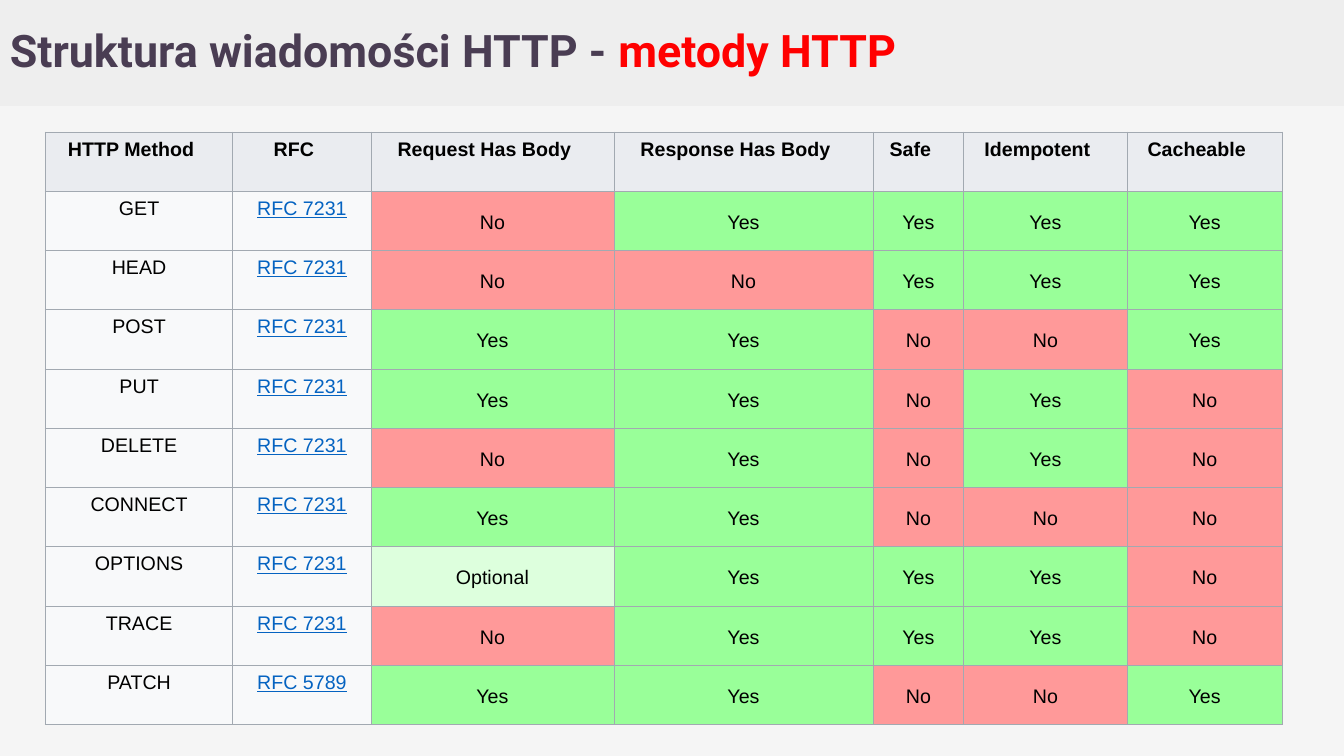
from lxml import etree
from pptx import Presentation
from pptx.dml.color import RGBColor
from pptx.enum.shapes import MSO_SHAPE
from pptx.enum.text import MSO_ANCHOR, PP_ALIGN
from pptx.oxml.ns import qn
from pptx.util import Inches, Pt

RECTANGLE = MSO_SHAPE.RECTANGLE
TOP, MIDDLE = MSO_ANCHOR.TOP, MSO_ANCHOR.MIDDLE
CENTER = PP_ALIGN.CENTER

BLACK, LINK, BORDER = "000000", "0563C1", "A2A9B1"
HEADER_FILL, LABEL_FILL = "EAECF0", "F8F9FA"
ANSWER_FILLS = {"Yes": "99FF99", "No": "FF9999", "Optional": "DDFFDD"}

COLUMNS = [
    ("HTTP Method", 1.86), ("RFC", 1.37), ("Request Has Body", 2.41),
    ("Response Has Body", 2.57), ("Safe", 0.9), ("Idempotent", 1.62),
    ("Cacheable", 1.54),
]
METHODS = [
    ("GET", "RFC 7231", "No", "Yes", "Yes", "Yes", "Yes"),
    ("HEAD", "RFC 7231", "No", "No", "Yes", "Yes", "Yes"),
    ("POST", "RFC 7231", "Yes", "Yes", "No", "No", "Yes"),
    ("PUT", "RFC 7231", "Yes", "Yes", "No", "Yes", "No"),
    ("DELETE", "RFC 7231", "No", "Yes", "No", "Yes", "No"),
    ("CONNECT", "RFC 7231", "Yes", "Yes", "No", "No", "No"),
    ("OPTIONS", "RFC 7231", "Optional", "Yes", "Yes", "Yes", "No"),
    ("TRACE", "RFC 7231", "No", "Yes", "Yes", "Yes", "No"),
    ("PATCH", "RFC 5789", "Yes", "Yes", "No", "No", "Yes"),
]


def rgb(value):
    return RGBColor.from_string(value)


def add_run(p, text, font, size, color, bold=False, underline=False):
    r = p.add_run()
    r.text = text
    r.font.name = font
    r.font.size = Pt(size)
    r.font.bold = bold
    r.font.underline = underline
    r.font.color.rgb = rgb(color)


def add_title_band(s, left, top, width, height):
    # Band across the slide
    band = s.shapes.add_shape(RECTANGLE, Inches(left), Inches(top),
                              Inches(width), Inches(height))
    band.shadow.inherit = False
    band.fill.solid()
    band.fill.fore_color.rgb = rgb("EEEEEE")
    band.line.fill.background()

    # Two-colour title
    title = s.shapes.add_textbox(Inches(left), Inches(top),
                                 Inches(width - 1.42), Inches(height))
    tf = title.text_frame
    tf.word_wrap = True
    tf.vertical_anchor = MIDDLE
    tf.margin_left = tf.margin_right = Inches(0.1)
    tf.margin_top = tf.margin_bottom = Inches(0.1)
    p = tf.paragraphs[0]
    p.line_spacing = 0.9
    add_run(p, "Struktura wiadomości HTTP - ", "Roboto", 32, "4A3D53", bold=True)
    add_run(p, "metody HTTP", "Roboto", 32, "FF0000", bold=True)


def set_borders(cell, color, width):
    tc_pr = cell._tc.get_or_add_tcPr()
    for side in ("a:lnL", "a:lnR", "a:lnT", "a:lnB"):
        ln = etree.SubElement(tc_pr, qn(side), w=str(Pt(width)))
        fill = etree.SubElement(ln, qn("a:solidFill"))
        etree.SubElement(fill, qn("a:srgbClr"), val=color)


def fill_cell(cell, text, fill, header=False, link=False):
    set_borders(cell, BORDER, 0.75)
    cell.fill.solid()
    cell.fill.fore_color.rgb = rgb(fill)
    cell.vertical_anchor = MIDDLE if text in ANSWER_FILLS else TOP
    cell.margin_left = Inches(0.06)
    cell.margin_right = Inches(0.22 if header else 0.06)
    cell.margin_top = cell.margin_bottom = Inches(0.03)
    p = cell.text_frame.paragraphs[0]
    p.alignment = CENTER
    p.line_spacing = 1.15
    p.space_before = p.space_after = Pt(11)
    add_run(p, text, "Arial", 14, LINK if link else BLACK,
            bold=header, underline=link)


def add_methods_table(s, left, top, width, height):
    rows = len(METHODS) + 1
    table = s.shapes.add_table(rows, len(COLUMNS), Inches(left), Inches(top),
                               Inches(width), Inches(height)).table
    table.horz_banding = False
    for row in table.rows:
        row.height = Inches(height / rows)

    # Header row
    for col, (heading, col_width) in enumerate(COLUMNS):
        table.columns[col].width = Inches(col_width)
        fill_cell(table.cell(0, col), heading, HEADER_FILL, header=True)

    # One row per method, answers coloured by value
    for row, method in enumerate(METHODS, start=1):
        for col, text in enumerate(method):
            fill_cell(table.cell(row, col), text,
                      ANSWER_FILLS.get(text, LABEL_FILL), link=col == 1)


def main():
    prs = Presentation()
    prs.slide_width, prs.slide_height = Inches(13.33), Inches(7.5)
    s = prs.slides.add_slide(prs.slide_layouts[6])
    s.background.fill.solid()
    s.background.fill.fore_color.rgb = rgb("F5F5F5")
    add_title_band(s, 0, 0, 13.33, 1.05)
    add_methods_table(s, 0.45, 1.31, 12.27, 5.88)
    prs.save("out.pptx")


if __name__ == "__main__":
    main()
